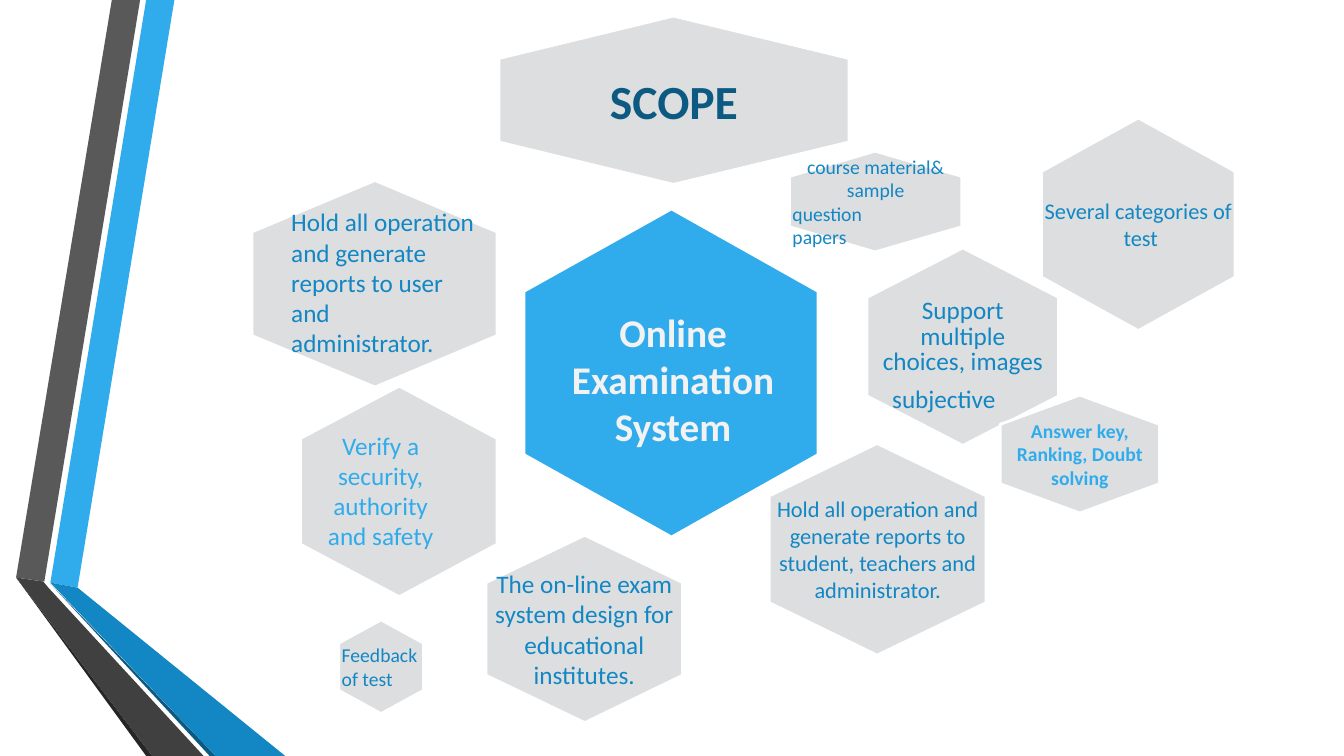
from dataclasses import dataclass

from pptx import Presentation
from pptx.dml.color import RGBColor
from pptx.enum.text import MSO_ANCHOR, PP_ALIGN
from pptx.util import Emu, Pt

LEFT, CENTER = PP_ALIGN.LEFT, PP_ALIGN.CENTER
TOP, MIDDLE = MSO_ANCHOR.TOP, MSO_ANCHOR.MIDDLE
PX = 9144  # EMU per px, 100 px to the inch


@dataclass(frozen=True)
class Theme:
    font: str = "Calibri"
    sky: str = "30ACEC"
    blue: str = "1287C3"
    navy: str = "0C5A82"
    tile: str = "DCDEE0"
    white: str = "FFFFFF"
    pale: str = "F2F2F2"
    gray: str = "595959"
    dark: str = "404040"
    black: str = "262626"
    title: int = 34
    hub: int = 28
    body: int = 18
    medium: int = 16
    small: int = 14
    outline: int = 2


THEME = Theme()

# Folded ribbon at the left edge: colour, corner points
RIBBON = [
    (THEME.sky, [(50, 578), (77, 583), (173, 0), (145, 0)]),
    (THEME.gray, [(139, 0), (111, 0), (16, 573), (44, 577)]),
    (THEME.black, [(16, 573), (145, 750), (151, 750)]),
    (THEME.navy, [(50, 579), (208, 750), (214, 750)]),
    (THEME.blue, [(50, 578), (214, 750), (283, 750), (77, 583)]),
    (THEME.dark, [(202, 750), (48, 583), (43, 577), (16, 573), (151, 750)]),
]

HUB = (521, 209, 289, 322)

# Hexagons: left, top, width, height, lines, size, colour, bold, alignment
TILES = [
    ((783, 150, 171, 100), ["course material&", "sample", "question", "papers"],
     THEME.small, THEME.blue, False, [CENTER, CENTER, LEFT, LEFT]),
    ((860, 246, 190, 196), ["Support", "multiple", "choices, images"],
     THEME.body, THEME.blue, False, CENTER),
    ((992, 392, 158, 117), ["Answer key, Ranking, Doubt solving"],
     THEME.small, THEME.sky, True, CENTER),
    ((763, 440, 215, 210),
     ["Hold all operation and generate reports to student, teachers and administrator."],
     THEME.medium, THEME.blue, False, CENTER),
    ((298, 383, 195, 209), [], THEME.body, THEME.sky, False, CENTER),
    ((482, 531, 195, 186), ["The on-line exam system design for educational institutes."],
     THEME.body, THEME.blue, False, CENTER),
    ((336, 615, 84, 93), ["Feedback of test"], THEME.small, THEME.blue, False, LEFT),
    ((495, 16, 347, 167), ["SCOPE"], THEME.title, THEME.navy, True, CENTER),
    ((250, 179, 243, 205), [], THEME.body, THEME.blue, False, LEFT),
    ((1033, 117, 192, 211), ["Several categories of  test"],
     THEME.medium, THEME.blue, False, CENTER),
]
TILE_INSETS = (3, 4)
TIGHT_TILE = "Support"  # its lines sit closer together and a little higher

# Text boxes: box, text, size, colour, bold, alignment, anchor, (side, top) inset
LABELS = [
    ((527, 307, 281, 138), "Online Examination System",
     THEME.hub, THEME.pale, True, CENTER, MIDDLE, (0, 0)),
    ((317, 440, 121, 93), "Verify a security, authority and safety",
     THEME.body, THEME.sky, False, CENTER, MIDDLE, (0, 0)),
    ((279, 200, 203, 192),
     "Hold all operation and generate reports to user and administrator.",
     THEME.body, THEME.blue, False, LEFT, TOP, (10, 5)),
    ((875, 375, 125, 40), "subjective",
     THEME.body, THEME.blue, False, LEFT, TOP, (10, 5)),
]


def px(value):
    return Emu(value * PX)


def color(code):
    return RGBColor.from_string(code)


def add_polygon(slide, points, fill, outline=None):
    builder = slide.shapes.build_freeform(*points[0], scale=PX)
    builder.add_line_segments(points[1:], close=True)
    shape = builder.convert_to_shape()
    shape.shadow.inherit = False
    shape.fill.solid()
    shape.fill.fore_color.rgb = color(fill)
    if outline:
        shape.line.color.rgb = color(outline)
        shape.line.width = Pt(THEME.outline)
    else:
        shape.line.fill.background()
    return shape


def hexagon(left, top, width, height):
    """Corner points of a pointed-top hexagon; side corners at 1/4 and 3/4 height."""
    middle, right = left + width / 2, left + width
    upper, lower = top + height / 4, top + height * 3 / 4
    return [(middle, top), (right, upper), (right, lower),
            (middle, top + height), (left, lower), (left, upper)]


def write(shape, lines, size, ink, bold, align, anchor, insets):
    frame = shape.text_frame
    frame.word_wrap = True
    frame.vertical_anchor = anchor
    side, edge = insets
    frame.margin_left = frame.margin_right = px(side)
    frame.margin_top = frame.margin_bottom = px(edge)
    aligns = align if isinstance(align, list) else [align] * len(lines)
    for index, (line, line_align) in enumerate(zip(lines, aligns)):
        para = frame.paragraphs[0] if index == 0 else frame.add_paragraph()
        para.text = line
        para.alignment = line_align
        para.font.name = THEME.font
        para.font.size = Pt(size)
        para.font.bold = bold
        para.font.color.rgb = color(ink)
    return frame


def main():
    deck = Presentation()
    deck.slide_width, deck.slide_height = px(1333), px(750)
    page = deck.slides.add_slide(deck.slide_layouts[6])

    for fill, points in RIBBON:
        add_polygon(page, points, fill)
    add_polygon(page, hexagon(*HUB), THEME.sky)

    for box, lines, *style in TILES:
        tile = add_polygon(page, hexagon(*box), THEME.tile, THEME.white)
        if not lines:
            continue
        frame = write(tile, lines, *style, MIDDLE, TILE_INSETS)
        if lines[0] == TIGHT_TILE:
            frame.margin_bottom = px(22)
            for para in frame.paragraphs:
                para.line_spacing = Pt(THEME.body)

    for box, text, *style in LABELS:
        label = page.shapes.add_textbox(*map(px, box))
        write(label, [text], *style)

    deck.save("out.pptx")


if __name__ == "__main__":
    main()
